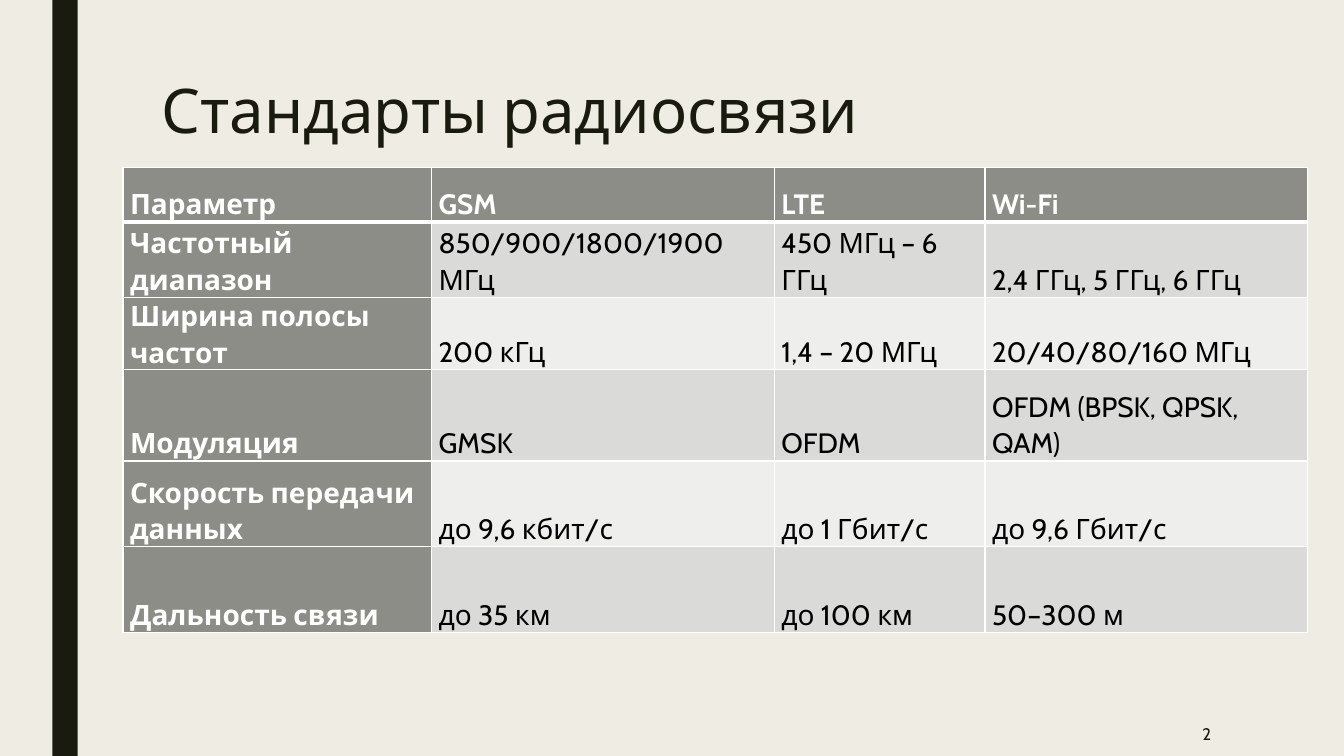
from dataclasses import dataclass

from lxml import etree
from pptx import Presentation
from pptx.dml.color import RGBColor
from pptx.enum.shapes import MSO_SHAPE
from pptx.enum.text import MSO_ANCHOR, MSO_AUTO_SIZE, PP_ALIGN
from pptx.oxml.ns import qn
from pptx.util import Emu, Pt

RECTANGLE = MSO_SHAPE.RECTANGLE
TOP, MIDDLE, BOTTOM = MSO_ANCHOR.TOP, MSO_ANCHOR.MIDDLE, MSO_ANCHOR.BOTTOM
LEFT, RIGHT = PP_ALIGN.LEFT, PP_ALIGN.RIGHT
NO_AUTOFIT = MSO_AUTO_SIZE.NONE
TITLE_ONLY = 5
EMU_PER_PX = 9144  # 100 px to the inch


@dataclass(frozen=True)
class Theme:
    font: str = "Cabin"
    paper: str = "EFEDE3"
    ink: str = "191B0E"
    heading_fill: str = "8C8D86"
    heading_text: str = "FFFFFF"
    body_text: str = "000000"
    bands: tuple[str, str] = ("DADBD9", "EEEEED")
    border: str = "FFFFFF"
    title_size: int = 44
    table_size: int = 20
    number_size: int = 12
    thin: int = 1
    thick: int = 3


@dataclass(frozen=True)
class Frame:
    left: int
    top: int
    width: int
    height: int

    def emu(self) -> tuple:
        return px(self.left), px(self.top), px(self.width), px(self.height)


@dataclass(frozen=True)
class TableRow:
    height: int
    texts: tuple[str, ...]


THEME = Theme()
PAGE_WIDTH, PAGE_HEIGHT = 1333, 750
BAR = Frame(52, 0, 25, PAGE_HEIGHT)
TITLE = Frame(150, 75, 1050, 162)
NUMBER = Frame(1036, 706, 175, 44)
TABLE_LEFT, TABLE_TOP = 122, 166
CELL_INSET = 7
COLUMN_WIDTHS = (306, 340, 209, 320)
ROWS = (
    TableRow(54, ("Параметр", "GSM", "LTE", "Wi-Fi")),
    TableRow(75, ("Частотный диапазон", "850/900/1800/1900 МГц",
                  "450 МГц – 6 ГГц", "2,4 ГГц, 5 ГГц, 6 ГГц")),
    TableRow(54, ("Ширина полосы частот", "200 кГц", "1,4 – 20 МГц",
                  "20/40/80/160 МГц")),
    TableRow(91, ("Модуляция", "GMSK", "OFDM", "OFDM (BPSK, QPSK, QAM)")),
    TableRow(85, ("Скорость передачи данных", "до 9,6 кбит/с",
                  "до 1 Гбит/с", "до 9,6 Гбит/с")),
    TableRow(85, ("Дальность связи", "до 35 км", "до 100 км", "50–300 м")),
)


def px(length: int) -> Emu:
    return Emu(length * EMU_PER_PX)


def rgb(color: str) -> RGBColor:
    return RGBColor.from_string(color)


def write(para, text: str, size: int, color: str, bold: bool = False) -> None:
    span = para.add_run()
    span.text = text
    span.font.name = THEME.font
    span.font.size = Pt(size)
    span.font.bold = bold
    span.font.color.rgb = rgb(color)


def set_border(cell, side: str, width: int) -> None:
    line = etree.SubElement(cell._tc.get_or_add_tcPr(), qn(f"a:ln{side}"),
                            w=str(Pt(width)))
    fill = etree.SubElement(line, qn("a:solidFill"))
    etree.SubElement(fill, qn("a:srgbClr"), val=THEME.border)


def draw_title(page) -> None:
    title = page.shapes.title
    title.left, title.top, title.width, title.height = TITLE.emu()
    frame = title.text_frame
    frame.word_wrap = True
    frame.auto_size = NO_AUTOFIT
    frame.vertical_anchor = TOP
    para = frame.paragraphs[0]
    para.alignment = LEFT
    para.line_spacing = 0.89
    write(para, "Стандарты радиосвязи", THEME.title_size, THEME.ink)


def draw_bar(page) -> None:
    bar = page.shapes.add_shape(RECTANGLE, *BAR.emu())
    bar.shadow.inherit = False
    bar.fill.solid()
    bar.fill.fore_color.rgb = rgb(THEME.ink)
    bar.line.fill.background()


def draw_number(page) -> None:
    box = page.shapes.add_textbox(*NUMBER.emu())
    box.text_frame.word_wrap = True
    box.text_frame.vertical_anchor = MIDDLE
    para = box.text_frame.paragraphs[0]
    para.alignment = RIGHT
    write(para, "2", THEME.number_size, THEME.ink)


def draw_cell(cell, text: str, row: int, column: int) -> None:
    heading = row == 0 or column == 0
    # Borders come before the fill in the cell properties
    for side in "LRTB":
        under_header = (row, side) in ((0, "B"), (1, "T"))
        set_border(cell, side, THEME.thick if under_header else THEME.thin)
    cell.fill.solid()
    cell.fill.fore_color.rgb = rgb(
        THEME.heading_fill if heading else THEME.bands[(row - 1) % 2])
    cell.margin_left = cell.margin_right = px(CELL_INSET)
    cell.margin_top = cell.margin_bottom = 0
    cell.vertical_anchor = BOTTOM
    para = cell.text_frame.paragraphs[0]
    para.line_spacing = 1.07
    para.space_after = Pt(6)
    write(para, text, THEME.table_size,
          THEME.heading_text if heading else THEME.body_text, heading)


def draw_table(page) -> None:
    frame = Frame(TABLE_LEFT, TABLE_TOP, sum(COLUMN_WIDTHS),
                  sum(row.height for row in ROWS))
    table = page.shapes.add_table(len(ROWS), len(COLUMN_WIDTHS),
                                  *frame.emu()).table
    table.first_col = True
    for column, width in zip(table.columns, COLUMN_WIDTHS):
        column.width = px(width)
    for r, row in enumerate(ROWS):
        table.rows[r].height = px(row.height)
        for c, text in enumerate(row.texts):
            draw_cell(table.cell(r, c), text, r, c)


def main() -> None:
    deck = Presentation()
    deck.slide_width, deck.slide_height = px(PAGE_WIDTH), px(PAGE_HEIGHT)
    page = deck.slides.add_slide(deck.slide_layouts[TITLE_ONLY])
    page.background.fill.solid()
    page.background.fill.fore_color.rgb = rgb(THEME.paper)
    draw_bar(page)
    draw_title(page)
    draw_number(page)
    draw_table(page)
    deck.save("out.pptx")


if __name__ == "__main__":
    main()
